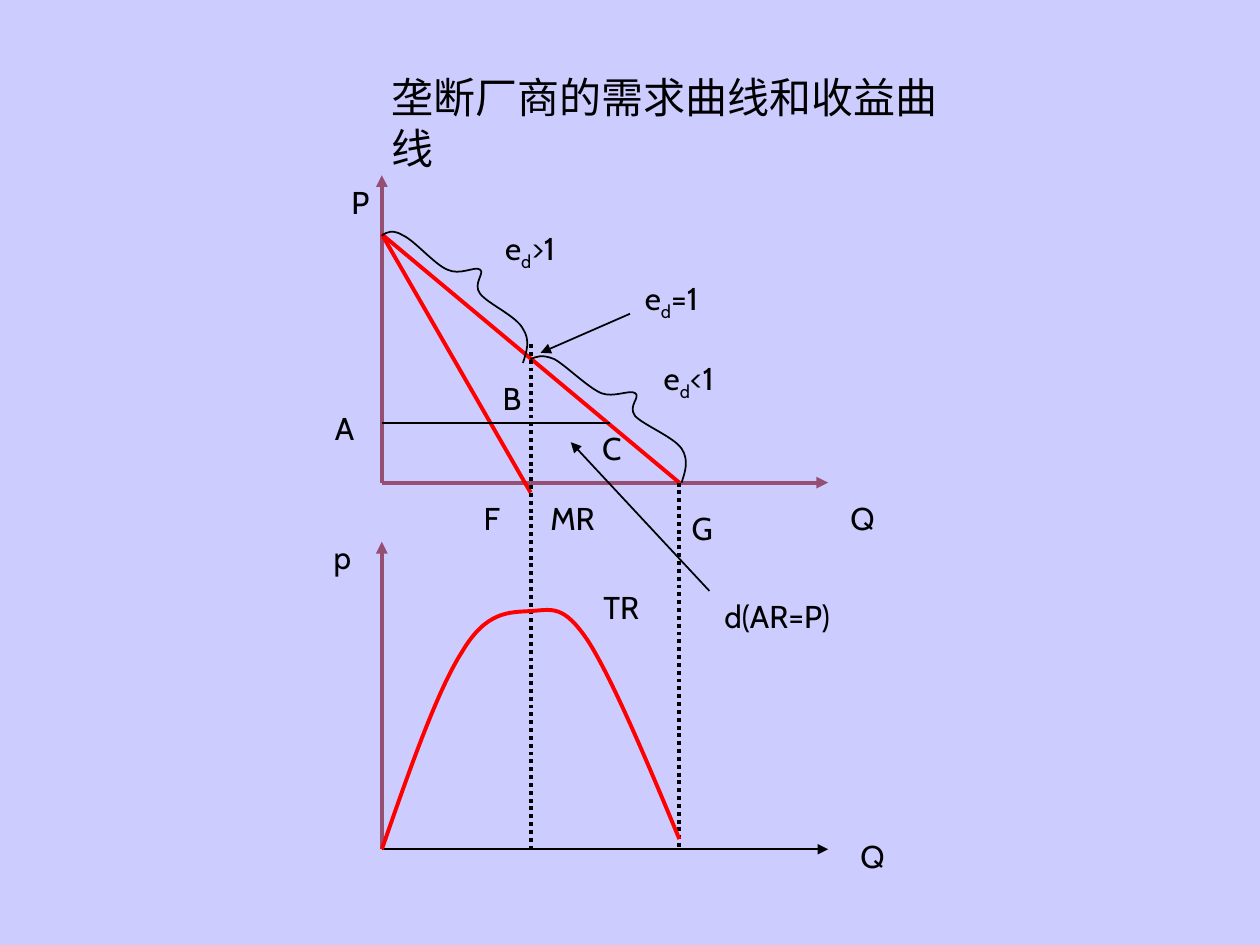
import pptx
import pptx.dml.color
import pptx.enum.dml
import pptx.enum.shapes
import pptx.enum.text
import pptx.oxml
import pptx.oxml.ns
import pptx.util

Pt = pptx.util.Pt
RGBColor = pptx.dml.color.RGBColor

LAVENDER = RGBColor(0xCC, 0xCC, 0xFF)
PLUM = RGBColor(0x95, 0x4F, 0x72)
RED = RGBColor(0xFF, 0x00, 0x00)
BLACK = RGBColor(0x00, 0x00, 0x00)

ORIGIN_X = 218.2
STEP = 85
MIDDLE_X, END_X, AXIS_END_X = (ORIGIN_X + STEP * count for count in (1, 2, 3))
UPPER_Y = 275.8
LOWER_Y = 485.3
AXIS_HEIGHT = 175.7
PRICE_Y = 133.9
THICK = 2.25
THIN = 1

UPPER_BRACE = [
    (ORIGIN_X, 134.6),
    (221, 132.5), (224.6, 131), (230.4, 134.6),
    (236.9, 137.5), (248.4, 151.2), (255.6, 154.1),
    (262.8, 157.7), (271.4, 151.9), (274.3, 154.1),
    (277.2, 156.2), (270, 162), (274.3, 167.8),
    (278.6, 173.5), (295.2, 180.7), (298.8, 187.9),
    (303.1, 194.4), (301, 200.9), (298.8, 207.4),
]
LOWER_BRACE = [
    (MIDDLE_X, 205.2),
    (306.7, 203.8), (309.6, 202.3), (316.8, 205.2),
    (323.3, 208.8), (335.5, 221), (343.4, 224.6),
    (350.6, 227.5), (360, 222.5), (362.9, 224.6),
    (366.5, 226.8), (358.6, 231.8), (362.9, 237.6),
    (367.2, 242.6), (385.2, 249.8), (389.5, 256.3),
    (393.8, 262.8), (391.7, 269.3), (389.5, UPPER_Y),
]
TOTAL_REVENUE = [
    (ORIGIN_X, LOWER_Y),
    (234, 439.9), (249.8, 394.6), (264.2, 372.2),
    (277.9, 349.2), (290.9, 349.9), (MIDDLE_X, 349.2),
    (315.4, 348.5), (321.8, 344.9), (336.2, 366.5),
    (349.9, 388.1), (369.4, 434.2), (END_X, 479.5),
]

LABELS = [
    ("P", 193.7, 100.8, 25.2),
    ("Q", 478.8, 281.5, 28.1),
    ("F", 269.3, 281.5, 23.8),
    ("A", 184.3, 230.4, 25.9),
    ("B", 280.1, 213.1, 25.9),
    ("C", 337, 241.9, 25.9),
    ("G", 388.1, 287.3, 27.4),
    ("p", 183.6, 303.8, 25.2),
    ("Q", 484.6, 474.5, 28.1),
    ("TR", 337.7, 332.6, 35.3),
    ("MR", 307.4, 281.5, 41.8),
    ("d(AR=P)", 406.8, 337.7, 79.9),
]
ELASTICITIES = [(">1", 281.5, 127.4), ("<1", 372.2, 201.6), ("=1", 361.4, 156.2)]


class Diagram:
    font_name = "Cabin"
    label_size = 18
    title_size = 24

    def __init__(self, slide):
        self.slide = slide
        slide.background.fill.solid()
        slide.background.fill.fore_color.rgb = LAVENDER

    def place(self, shape, left, top, width, height):
        shape.left, shape.top = Pt(left), Pt(top)
        shape.width, shape.height = Pt(width), Pt(height)

    def format_text(self, shape, size):
        frame = shape.text_frame
        frame.word_wrap = False
        frame.auto_size = pptx.enum.text.MSO_AUTO_SIZE.SHAPE_TO_FIT_TEXT
        frame.vertical_anchor = pptx.enum.text.MSO_ANCHOR.TOP
        paragraph = frame.paragraphs[0]
        paragraph.alignment = pptx.enum.text.PP_ALIGN.LEFT
        for run in paragraph.runs:
            run.font.name = self.font_name
            run.font.size = Pt(size)
            run.font.color.rgb = BLACK

    def title(self, text, left, top, width, height):
        shape = self.slide.shapes.title
        self.place(shape, left, top, width, height)
        shape.text_frame.text = text
        self.format_text(shape, self.title_size)

    def label(self, text, left, top, width):
        shape = self.slide.shapes.add_textbox(Pt(left), Pt(top), Pt(width), Pt(28.8))
        shape.text_frame.text = text
        self.format_text(shape, self.label_size)

    def elasticity(self, relation, left, top):
        shape = self.slide.shapes.add_textbox(Pt(left), Pt(top), Pt(51.1), Pt(31.7))
        paragraph = shape.text_frame.paragraphs[0]
        for text in ("e", "d", relation):
            paragraph.add_run().text = text
        self.format_text(shape, self.label_size)
        paragraph.runs[1].font._element.set("baseline", "-25000")

    def line(self, start, end, color, width, arrow=False, dotted=False):
        connector = self.slide.shapes.add_connector(
            pptx.enum.shapes.MSO_CONNECTOR.STRAIGHT,
            Pt(start[0]), Pt(start[1]), Pt(end[0]), Pt(end[1]),
        )
        connector.line.color.rgb = color
        connector.line.width = Pt(width)
        if dotted:
            connector.line.dash_style = pptx.enum.dml.MSO_LINE.ROUND_DOT
        properties = connector._element.spPr
        if arrow:
            tail = pptx.oxml.ns.qn("a:tailEnd")
            properties.find(pptx.oxml.ns.qn("a:ln")).makeelement(tail)
            outline = connector.line._get_or_add_ln()
            outline.append(outline.makeelement(tail, {"type": "triangle"}))
        properties.append(properties.makeelement(pptx.oxml.ns.qn("a:effectLst")))

    def curve(self, points, color, width):
        start, *controls = [(Pt(x), Pt(y)) for x, y in points]
        builder = self.slide.shapes.build_freeform(*start)
        builder.add_line_segments(controls, close=False)
        shape = builder.convert_to_shape()
        segments = list(shape._element.iter(pptx.oxml.ns.qn("a:lnTo")))
        for index in range(0, len(segments), 3):
            outline = segments[index].getparent()
            bezier = outline.makeelement(pptx.oxml.ns.qn("a:cubicBezTo"))
            outline.append(bezier)
            for segment in segments[index:index + 3]:
                bezier.append(segment[0])
                outline.remove(segment)
        shape.shadow.inherit = False
        shape.fill.background()
        shape.line.color.rgb = color
        shape.line.width = Pt(width)


def main():
    presentation = pptx.Presentation()
    presentation.slide_width = Pt(720)
    presentation.slide_height = Pt(540)
    slide = presentation.slides.add_slide(presentation.slide_layouts[5])
    diagram = Diagram(slide)
    diagram.title("垄断厂商的需求曲线和收益曲线", 216.7, 37.4, 349.9, 36)

    for base, color, width in ((UPPER_Y, PLUM, THICK), (LOWER_Y, BLACK, THIN)):
        origin = (ORIGIN_X, base)
        diagram.line(origin, (AXIS_END_X, base), color, width, arrow=True)
        diagram.line(origin, (ORIGIN_X, base - AXIS_HEIGHT), PLUM, THICK, arrow=True)

    for end in ((END_X, UPPER_Y), (MIDDLE_X, 281.5)):
        diagram.line((ORIGIN_X, PRICE_Y), end, RED, THICK)
    for x, top in ((MIDDLE_X, 196.6), (END_X, UPPER_Y)):
        diagram.line((x, top), (x, LOWER_Y), BLACK, THICK, dotted=True)
    diagram.line((ORIGIN_X, 241.8), (348.5, 241.8), BLACK, THIN)
    for start, end in (((360, 179.3), (308.9, 201.6)), ((405.4, 337.7), (326.2, 252.7))):
        diagram.line(start, end, BLACK, THIN, arrow=True)

    for brace in (UPPER_BRACE, LOWER_BRACE):
        diagram.curve(brace, BLACK, THIN)
    diagram.curve(TOTAL_REVENUE, RED, THICK)

    for label in LABELS:
        diagram.label(*label)
    for elasticity in ELASTICITIES:
        diagram.elasticity(*elasticity)

    presentation.save("out.pptx")


if __name__ == "__main__":
    main()
